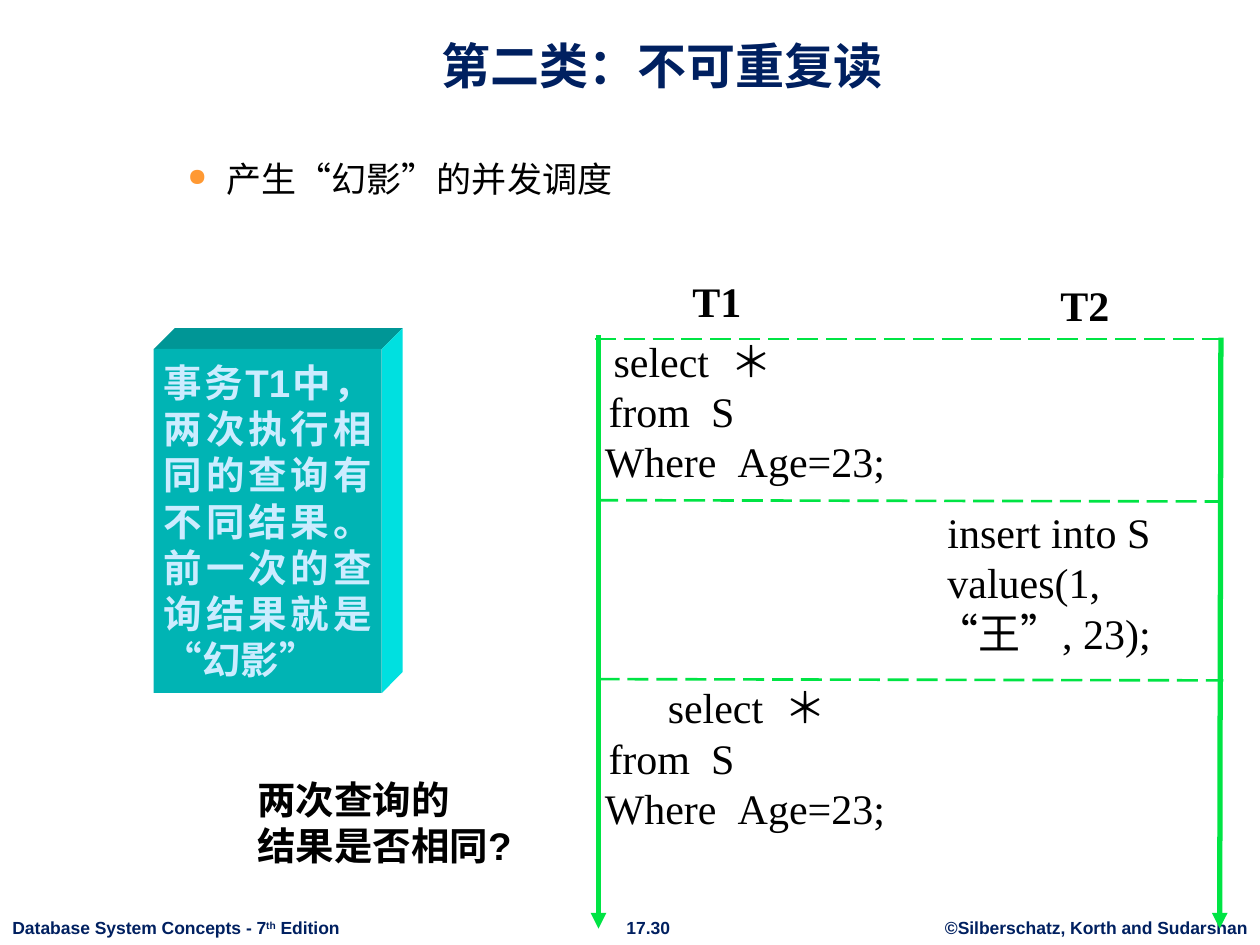
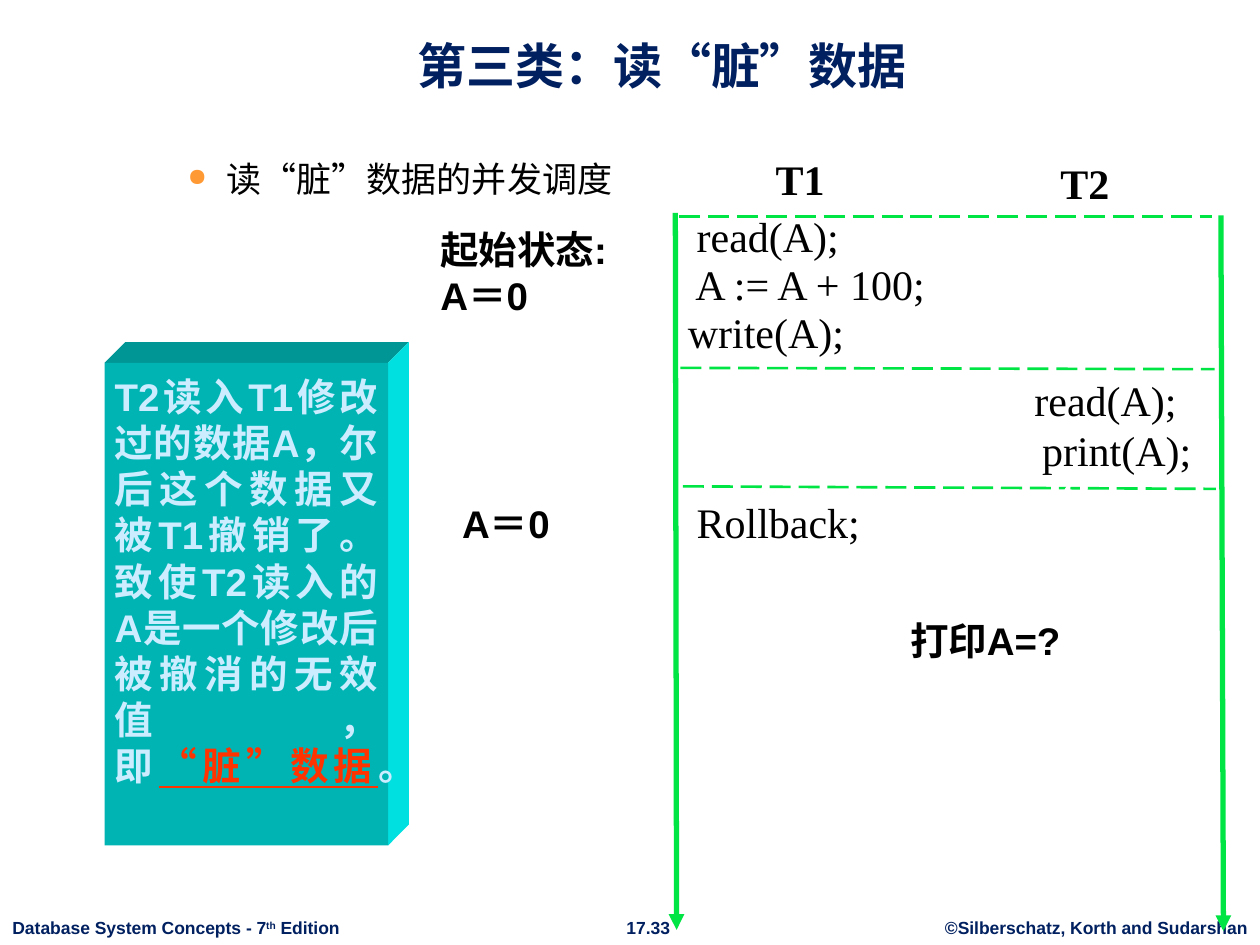
from lxml import etree
from pptx import Presentation
from pptx.dml.color import RGBColor
from pptx.enum.dml import MSO_LINE
from pptx.enum.shapes import MSO_CONNECTOR, MSO_SHAPE
from pptx.enum.text import MSO_ANCHOR, MSO_AUTO_SIZE, PP_ALIGN
from pptx.oxml.ns import qn
from pptx.util import Inches, Pt

W, H = Inches(10), Inches(7.5)
COLS, ROWS = 100, 75
LEFT, CENTER, JUSTIFY = PP_ALIGN.LEFT, PP_ALIGN.CENTER, PP_ALIGN.JUSTIFY
TOP, MIDDLE, BOTTOM = MSO_ANCHOR.TOP, MSO_ANCHOR.MIDDLE, MSO_ANCHOR.BOTTOM
STRAIGHT, CALLOUT, RECT = MSO_CONNECTOR.STRAIGHT, MSO_SHAPE.ROUNDED_RECTANGULAR_CALLOUT, MSO_SHAPE.RECTANGLE
LONG_DASH, NO_FIT = MSO_LINE.LONG_DASH, MSO_AUTO_SIZE.NONE

COLORS = {
    "navy": "002060", "black": "000000", "white": "FFFFFF", "orange": "FF9933",
    "green": "00E444", "front": "00B4B4", "top": "009696", "side": "00E0E0",
    "pale": "CCECFF", "red": "FF3300",
}
FORMATS = {
    "title": {"name": "Arial", "size": Pt(28), "bold": True, "color": "navy"},
    "footer": {"name": "Arial", "size": Pt(10), "bold": True, "color": "navy"},
    "body": {"name": "Arial", "size": Pt(20), "bold": False, "color": "black"},
    "code": {"name": "Times New Roman", "size": Pt(24), "bold": False, "color": "black"},
    "lane": {"name": "Times New Roman", "size": Pt(24), "bold": True, "color": "black"},
    "callout": {"name": "Arial", "size": Pt(22), "bold": True, "color": "black"},
    "note": {"name": "Arial", "size": Pt(22), "bold": True, "color": "pale"},
    "alert": {"name": "Arial", "size": Pt(22), "bold": True, "underline": True, "color": "red"},
}


def col(n):
    return int(W * n / COLS)


def row(n):
    return int(H * n / ROWS)


def area(left, top, width, height):
    return col(left), row(top), col(width), row(height)


def rgb(name):
    return RGBColor.from_string(COLORS[name])


def add_run(p, text, style):
    r = p.add_run()
    r.text = text
    for key, value in FORMATS[style].items():
        if key == "color":
            r.font.color.rgb = rgb(value)
        else:
            setattr(r.font, key, value)
    return r


def set_frame(tf, wrap=True, anchor=TOP, inset=None):
    values = {"word_wrap": wrap, "vertical_anchor": anchor, "auto_size": NO_FIT}
    if inset is not None:
        sides = ("left", "top", "right", "bottom")
        values.update({f"margin_{side}": inset for side in sides})
    for key, value in values.items():
        setattr(tf, key, value)


def add_lines(tf, lines, style, align=LEFT):
    for i, text in enumerate(lines):
        p = tf.add_paragraph() if i else tf.paragraphs[0]
        p.alignment = align
        add_run(p, text, style)


def add_text(s, box, text, style, align=LEFT, wrap=True):
    tf = s.shapes.add_textbox(*area(*box)).text_frame
    set_frame(tf, wrap)
    add_lines(tf, [text], style, align)
    return tf.paragraphs[0]


def paint(sp, color):
    sp.shadow.inherit = False
    sp.fill.solid()
    sp.fill.fore_color.rgb = rgb(color)
    sp.line.fill.background()


def add_footer(s, number):
    add_text(s, (74, 72.3, 26, 2.7), "©Silberschatz, Korth and Sudarshan", "footer", CENTER, False)
    add_text(s, (48.6, 72.3, 5.7, 2.7), number, "footer", CENTER, False)
    p = add_text(s, (0, 72.3, 28.1, 2.7), "Database System Concepts - 7", "footer", wrap=False)
    r = add_run(p, "th", "footer")
    r.font._element.set("baseline", "30000")
    add_run(p, " Edition", "footer")


def add_bullet(s, text):
    p = add_text(s, (8.9, 12, 83.8, 53.6), text, "body", JUSTIFY)
    pPr = p._p.get_or_add_pPr()
    pPr.set("marL", str(col(8.1)))
    pPr.set("indent", str(-col(3.1)))
    clr = etree.SubElement(pPr, qn("a:buClr"))
    etree.SubElement(clr, qn("a:srgbClr")).set("val", COLORS["orange"])
    etree.SubElement(pPr, qn("a:buSzPct")).set("val", "70000")
    etree.SubElement(pPr, qn("a:buChar")).set("char", "●")


def start_slide(prs, title, bullet, number):
    s = prs.slides.add_slide(prs.slide_layouts[5])
    sp = s.shapes.title
    sp.left, sp.top, sp.width, sp.height = area(8.4, 1.3, 88.3, 6.7)
    set_frame(sp.text_frame, anchor=BOTTOM)
    add_lines(sp.text_frame, [title], "title", CENTER)
    add_footer(s, number)
    add_bullet(s, bullet)
    return s


def add_code(s, box, lines, spacing=1.0):
    tf = s.shapes.add_textbox(*area(*box)).text_frame
    set_frame(tf, inset=0)
    for i, (indent, *parts) in enumerate(lines):
        p = tf.add_paragraph() if i else tf.paragraphs[0]
        p.line_spacing = spacing
        p._p.get_or_add_pPr().set("indent", str(col(indent)))
        for j, part in enumerate(parts):
            if j:
                gap = add_run(p, " ", "code")
                gap.font._element.set("spc", "600")
            add_run(p, part, "code")


def add_line(s, start, end, width, dash=None, arrow=False):
    c = s.shapes.add_connector(STRAIGHT, col(start[0]), row(start[1]), col(end[0]), row(end[1]))
    c.line.color.rgb = rgb("green")
    c.line.width = Pt(width)
    if dash:
        c.line.dash_style = dash
    if arrow:
        etree.SubElement(c.line._get_or_add_ln(), qn("a:tailEnd")).set("type", "triangle")
    etree.SubElement(c._element.spPr, qn("a:effectLst"))


def add_schedule(s, heads, timelines, steps):
    for name, left, top in heads:
        add_text(s, (left, top, 10.8, 5), name, "lane", CENTER)
    for left, right, y, drop in steps:
        add_line(s, (left, y), (right, y + drop), 1.5, dash=LONG_DASH)
    for start, end in timelines:
        add_line(s, start, end, 3, arrow=True)


def add_face(s, points, color):
    points = [(col(x), row(y)) for x, y in points]
    fb = s.shapes.build_freeform(*points[0], scale=1.0)
    fb.add_line_segments(points[1:], close=True)
    paint(fb.convert_to_shape(), color)


def add_block(s, box, parts, depth=1.65):
    left, top, width, height = box
    right, bottom = left + width, top + height
    back_right, back_top = right + depth, top - depth
    add_face(s, [(left, top), (left + depth, back_top), (back_right, back_top), (right, top)], "top")
    add_face(s, [(right, top), (back_right, back_top), (back_right, bottom - depth), (right, bottom)], "side")
    sp = s.shapes.add_shape(RECT, *area(*box))
    paint(sp, "front")
    set_frame(sp.text_frame, inset=col(0.8))
    p = sp.text_frame.paragraphs[0]
    p.alignment = JUSTIFY
    for text, style in parts:
        add_run(p, text, style)


def add_callout(s, box, tip, lines, align=LEFT):
    sp = s.shapes.add_shape(CALLOUT, *area(*box))
    paint(sp, "white")
    for i, value in enumerate((*tip, 0.17)):
        sp.adjustments[i] = value
    set_frame(sp.text_frame, wrap=False, anchor=MIDDLE)
    add_lines(sp.text_frame, lines, "callout", align)


def query(first_indent):
    return [(first_indent, "select", "＊"), (0.3, "from", "S"), (0, "Where", "Age=23;")]


def build_phantom(prs):
    s = start_slide(prs, "第二类：不可重复读", "产生“幻影”的并发调度", "17.30")
    add_code(s, (74.3, 40.2, 24.7, 12.1),
             [(0.9, "insert into S"), (0.9, "values(1,"), (0, "“王”, 23);")])
    add_schedule(
        s,
        heads=[("T1", 51.5, 21.4), ("T2", 80.7, 21.7)],
        timelines=[((47.5, 26.6), (47.5, 73.7)), ((96.9, 26.8), (96.8, 73.7))],
        steps=[(47.2, 96.8, 26.9, 0), (47.4, 96.9, 39.7, 0.1), (47.5, 97.1, 53.9, 0.1)])
    for top, indent in ((26.6, 0.7), (54.1, 5)):
        add_code(s, (48, top, 26, 12.1), query(indent))
    add_block(s, (12.2, 27.7, 18.1, 27.3),
              [("事务T1中，两次执行相同的查询有不同结果。前一次的查询结果就是 “幻影”", "note")])
    add_callout(s, (19, 60.6, 23.3, 9.3), (0.68, -2.05), ["两次查询的", "结果是否相同?"])


def build_dirty_read(prs):
    s = start_slide(prs, "第三类：读“脏”数据", "读“脏”数据的并发调度", "17.33")
    add_callout(s, (33.5, 16.8, 16, 9.6), (0.77, -0.45), ["起始状态:", "A＝0"])
    add_code(s, (54.6, 17, 21, 11.5),
             [(0.7, "read(A);"), (0.6, "A := A + 100;"), (0, "write(A);")], 0.95)
    add_code(s, (54.6, 39.7, 21, 4), [(0.7, "Rollback;")], 0.95)
    add_schedule(
        s,
        heads=[("T1", 58.1, 11.7), ("T2", 80.7, 12)],
        timelines=[((53.6, 16.9), (53.7, 73.8)), ((96.9, 17.1), (97.1, 73.9))],
        steps=[(53.9, 96.2, 17.2, 0), (54, 96.4, 29.2, 0.1), (54.2, 96.5, 38.6, 0.2)])
    add_code(s, (82, 29.7, 16.5, 8), [(0.1, "read(A);"), (0.7, "print(A);")])
    add_callout(s, (68.5, 47.2, 19.4, 7.2), (0.35, -1.78), ["打印A=?"], CENTER)
    add_block(s, (8.3, 28.8, 22.5, 38.3),
              [("T2读入T1修改过的数据A，尔后这个数据又被T1撤销了。致使T2读入的A是一个修改后被撤消的无效值，即", "note"),
               ("“脏”数据", "alert"), ("。", "note")])
    add_callout(s, (35.4, 38.5, 12.2, 6), (0.97, -0.47), ["A＝0"])


def main():
    prs = Presentation()
    prs.slide_width, prs.slide_height = W, H
    build_phantom(prs)
    build_dirty_read(prs)
    prs.save("out.pptx")


if __name__ == "__main__":
    main()
